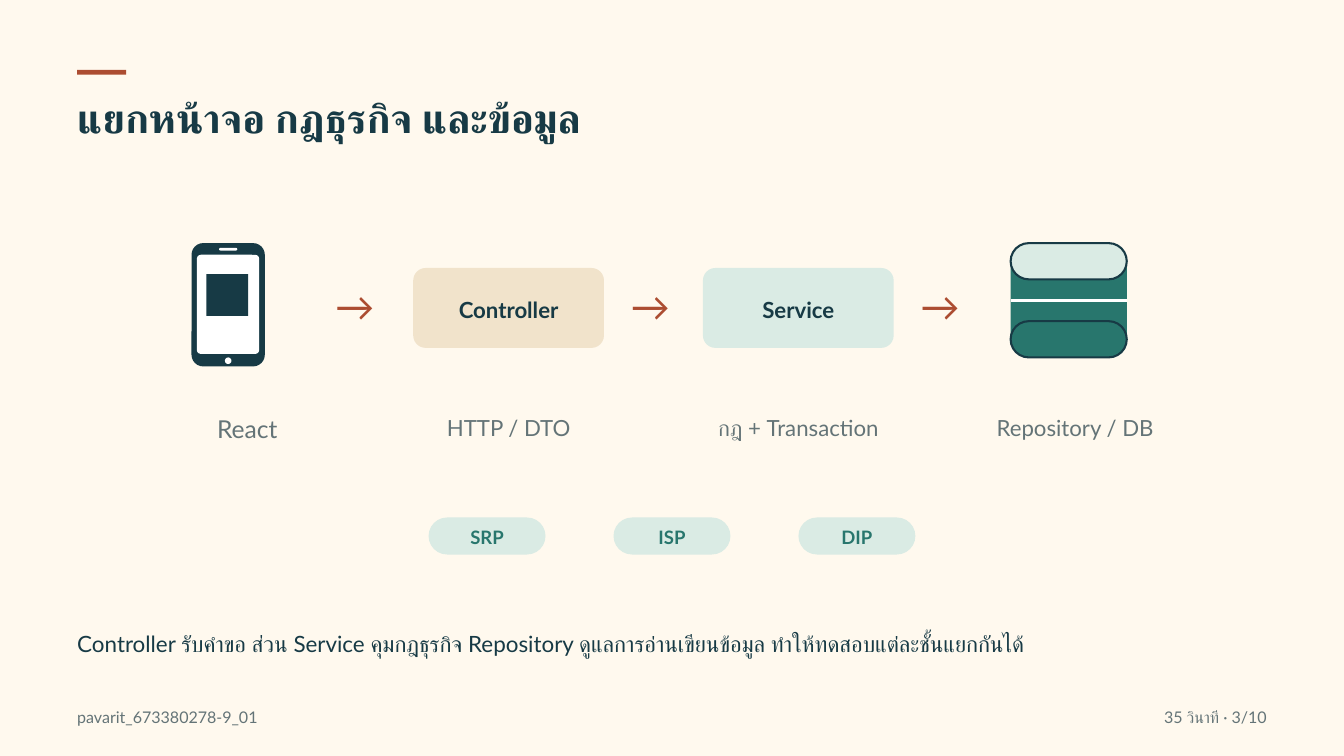
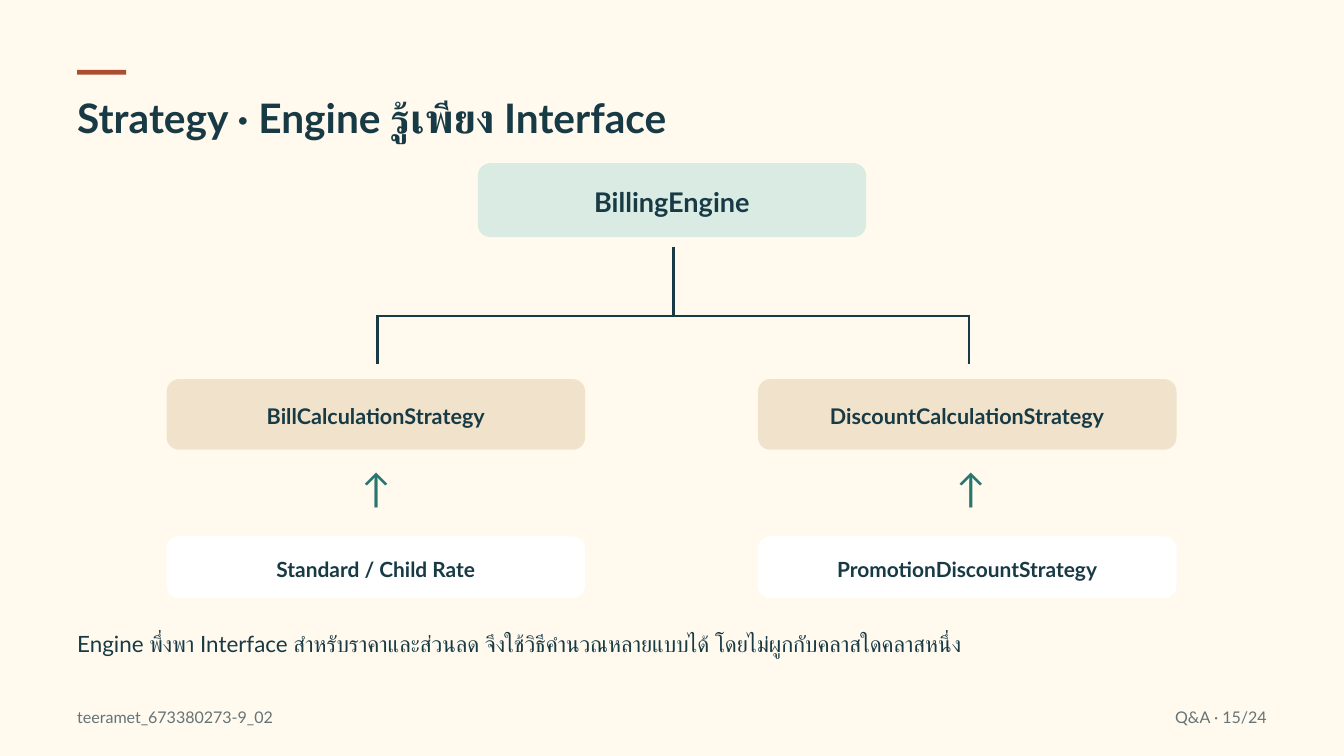
from lxml.etree import SubElement
from pptx import Presentation
from pptx.dml.color import RGBColor
from pptx.enum.shapes import MSO_CONNECTOR as Link, MSO_SHAPE as Kind
from pptx.enum.text import MSO_ANCHOR as Anchor, PP_ALIGN as Align
from pptx.oxml.ns import qn
from pptx.util import Cm, Pt

INK, RUST, TEAL, GREY = "173A45", "AC4D31", "28766D", "647477"
CREAM, SAND, MINT, WHITE = "FFF9EE", "F1E3CB", "DAEBE4", "FFFFFF"
LEFT, RIGHT = 2.92, 47.88


def paint(color, code):
    color.rgb = RGBColor.from_string(code)


class Deck:
    """Holds the deck style and draws on the current slide."""

    font = "Lato"
    lead = 1.34
    curve = 0.47

    def __init__(self):
        self.prs = Presentation()
        self.prs.slide_width, self.prs.slide_height = Cm(50.8), Cm(28.575)
        self.page = None

    def start(self, title, note, owner, mark):
        self.page = self.prs.slides.add_slide(self.prs.slide_layouts[6])
        back = self.page.background.fill
        back.solid()
        paint(back.fore_color, CREAM)
        self.block(LEFT, 2.64, 1.85, 0.18, RUST)
        self.label(title, LEFT, 3.28, 45.24, 2.21, 43.5, INK, Align.LEFT, True)
        self.label(note, LEFT, 23.7, 44.98, 2.36, 24, INK, Align.LEFT)
        self.label(owner, LEFT, 26.67, 33.07, 0.86, 17.2, GREY, Align.LEFT)
        self.label(mark, RIGHT - 9, 26.67, 9, 0.86, 17.2, GREY, Align.RIGHT)

    def style(self, frame, text, size, color, align, bold):
        frame.word_wrap = True
        frame.margin_left = frame.margin_right = 0
        frame.margin_top = frame.margin_bottom = 0
        frame.text = text
        para = frame.paragraphs[0]
        para.alignment = align
        para.line_spacing = Pt(round(size * self.lead, 1))
        for run in para.runs:
            run.font.name, run.font.size, run.font.bold = self.font, Pt(size), bold
            paint(run.font.color, color)
            SubElement(run.font._element, qn("a:cs"), typeface=self.font)

    def label(self, text, x, y, w, h, size, color, align=Align.CENTER, bold=False):
        box = self.page.shapes.add_textbox(Cm(x), Cm(y), Cm(w), Cm(h))
        self.style(box.text_frame, text, size, color, align, bold)

    def block(self, x, y, w, h, fill, kind=Kind.RECTANGLE, edge=None):
        shape = self.page.shapes.add_shape(kind, Cm(x), Cm(y), Cm(w), Cm(h))
        shape.shadow.inherit = False
        shape.fill.solid()
        paint(shape.fill.fore_color, fill)
        if edge:
            paint(shape.line.color, edge)
            shape.line.width = Pt(2.25)
        else:
            shape.line.fill.background()
        return shape

    def panel(self, x, y, w, h, fill, curve=curve, edge=None):
        shape = self.block(x, y, w, h, fill, Kind.ROUNDED_RECTANGLE, edge)
        shape.adjustments[0] = min(0.5, curve / min(w, h))
        return shape

    def card(self, text, x, y, w, h, fill, size, color=INK, curve=curve):
        frame = self.panel(x, y, w, h, fill, curve).text_frame
        frame.vertical_anchor = Anchor.MIDDLE
        self.style(frame, text, size, color, Align.CENTER, True)

    def arrow(self, sign, x, y, color):
        self.label(sign, x, y, 3.5, 2.16, 42.2, color)

    def line(self, x1, y1, x2, y2, color):
        line = self.page.shapes.add_connector(
            Link.STRAIGHT, Cm(x1), Cm(y1), Cm(x2), Cm(y2))
        paint(line.line.color, color)
        line.line.width = Pt(2.7)
        SubElement(line._element.spPr, qn("a:effectLst"))

    def phone(self, x, y):
        self.panel(x, y, 2.77, 4.66, INK, 0.44)
        self.panel(x + 0.2, y + 0.44, 2.36, 3.75, WHITE, 0.16)
        self.panel(x + 1.04, y + 0.18, 0.69, 0.1, WHITE)
        self.block(x + 1.26, y + 4.32, 0.25, 0.25, WHITE, Kind.OVAL)
        self.block(x + 0.56, y + 1.17, 1.58, 1.58, INK)

    def store(self, x, y):
        wide = 4.39
        self.panel(x, y + 0.46, wide, 3.68, TEAL)
        for drop, fill in ((0, MINT), (2.95, TEAL)):
            self.panel(x, y + drop, wide, 1.37, fill, 1, INK)
        self.line(x, y + 2.16, x + wide, y + 2.16, WHITE)


def layers(deck):
    deck.start(
        "แยกหน้าจอ กฎธุรกิจ และข้อมูล",
        "Controller รับคำขอ ส่วน Service คุมกฎธุรกิจ Repository "
        "ดูแลการอ่านเขียนข้อมูล ทำให้ทดสอบแต่ละชั้นแยกกันได้",
        "pavarit_673380278-9_01", "35 วินาที · 3/10")
    deck.phone(7.24, 9.19)
    deck.store(38.2, 9.19)
    wide = 7.21
    deck.arrow("→", 11.66, 10.44, RUST)
    for text, x, fill in (("Controller", 15.62, SAND), ("Service", 26.57, MINT)):
        deck.card(text, x, 10.13, wide, 3.02, fill, 23.8)
        deck.arrow("→", x + wide, 10.44, RUST)
    for text, x, w, size in (
            ("React", 6.2, 6.3, 26.4),
            ("HTTP / DTO", 15.62, wide, 23.8),
            ("กฎ + Transaction", 25.63, 9.09, 23.8),
            ("Repository / DB", 36.8, 7.67, 23.8)):
        deck.label(text, x, 15.53, w, 1.2, size, GREY)
    for i, text in enumerate(("SRP", "ISP", "DIP")):
        deck.card(text, 16.2 + 6.99 * i, 19.56, 4.42, 1.4, MINT, 19.8, TEAL, 0.7)


def strategy(deck):
    deck.start(
        "Strategy · Engine รู้เพียง Interface",
        "Engine พึ่งพา Interface สำหรับราคาและส่วนลด "
        "จึงใช้วิธีคำนวณหลายแบบได้ โดยไม่ผูกกับคลาสใดคลาสหนึ่ง",
        "teeramet_673380273-9_02", "Q&A · 15/24")
    deck.card("BillingEngine", 18.06, 6.17, 14.68, 2.79, MINT, 29)
    deck.line(25.45, 9.32, 25.45, 11.89, INK)
    deck.line(14.22, 11.94, 36.58, 11.94, INK)
    wide = 15.82
    for x, tip, base, leaf in (
            (6.3, 12.47, "BillCalculationStrategy", "Standard / Child Rate"),
            (28.65, 34.95, "DiscountCalculationStrategy", "PromotionDiscountStrategy")):
        stem = x + 7.97
        deck.line(stem, 11.89, stem, 13.74, INK)
        deck.card(base, x, 14.33, wide, 2.67, SAND, 23.1)
        deck.arrow("↑", tip, 17.32, TEAL)
        deck.card(leaf, x, 20.27, wide, 2.34, WHITE, 22.4)


def main():
    deck = Deck()
    layers(deck)
    strategy(deck)
    deck.prs.save("out.pptx")


if __name__ == "__main__":
    main()
